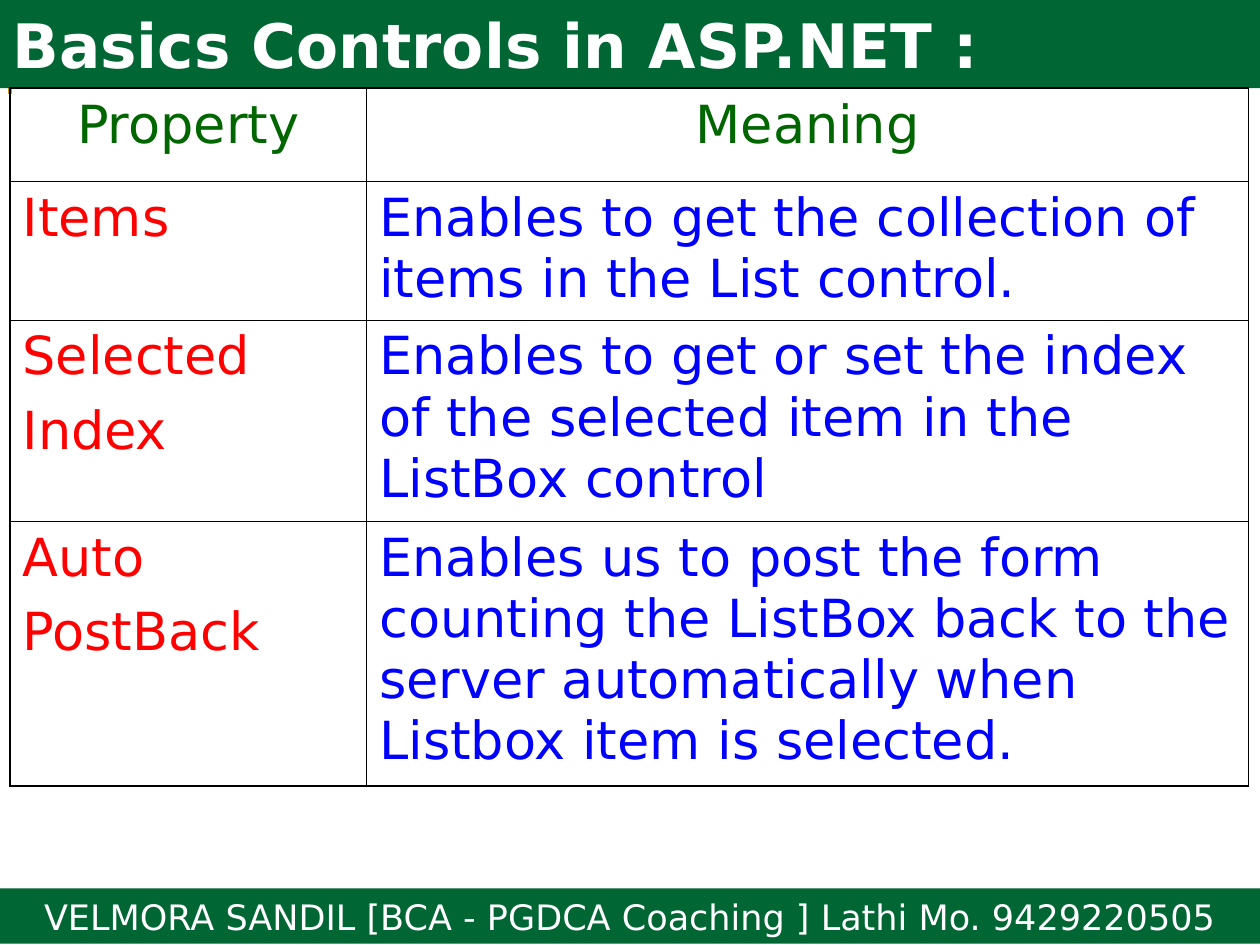
import pptx
import pptx.util
import pptx.dml.color
import pptx.enum.shapes
import pptx.enum.text
import pptx.oxml
import pptx.oxml.ns

Inches, Pt = pptx.util.Inches, pptx.util.Pt
ALIGN = pptx.enum.text.PP_ALIGN
WIDTH, HEIGHT = Inches(10), Inches(7.5)
FONT = "DejaVu Sans"
GREEN, WHITE, BLACK, GOLD = "006633", "FFFFFF", "000000", "CC9900"
HEADING, PROPERTY, MEANING = "006600", "FF0000", "0000FF"
COLUMNS = [2.83, 7]
ROW_HEIGHTS = [0.74, 1.1, 1.6, 2.1]
ROWS = [
    ("Property", "Meaning"),
    ("Items", "Enables to get the collection of items in the List control."),
    ("Selected\nIndex",
     "Enables to get or set the index of the selected item in the ListBox control"),
    ("Auto\nPostBack",
     "Enables us to post the form counting the ListBox back to the server "
     "automatically when Listbox item is selected."),
]


def color(value):
    return pptx.dml.color.RGBColor.from_string(value)


def write(frame, text, size, tint, align=ALIGN.LEFT, bold=False, gap=0):
    frame.word_wrap = True
    frame.text = text
    for index, para in enumerate(frame.paragraphs):
        para.alignment = align
        if index:
            para.space_before = Pt(gap)
        for span in para.runs:
            span.font.name = FONT
            span.font.size = Pt(size)
            span.font.bold = bold
            span.font.color.rgb = color(tint)


def add_band(page, box, text, size, align, bold=False):
    """Full-width green bar with one line of white text."""
    band = page.shapes.add_shape(pptx.enum.shapes.MSO_SHAPE.RECTANGLE, *box)
    band.shadow.inherit = False
    band.fill.solid()
    band.fill.fore_color.rgb = color(GREEN)
    band.line.fill.background()
    band.text_frame.vertical_anchor = pptx.enum.text.MSO_ANCHOR.MIDDLE
    write(band.text_frame, text, size, WHITE, align, bold)


def add_corner_line(page, box):
    """Open line along the left and top edges of the box."""
    left, top, width, height = box
    builder = page.shapes.build_freeform(left, top + height)
    builder.add_line_segments([(left, top), (left + width, top)], close=False)
    corner = builder.convert_to_shape()
    corner.shadow.inherit = False
    corner.fill.background()
    corner.line.color.rgb = color(GOLD)
    corner.line.width = Pt(2.25)


def set_borders(cell, widths):
    """Black borders, widths in points by side; they precede the fill."""
    properties = cell._tc.get_or_add_tcPr()
    for index, (side, width) in enumerate(widths.items()):
        properties.insert(index, pptx.oxml.parse_xml(
            f'<a:ln{side} {pptx.oxml.ns.nsdecls("a")} w="{Pt(width)}">'
            f'<a:solidFill><a:srgbClr val="{BLACK}"/></a:solidFill></a:ln{side}>'))


def add_property_table(page, box):
    table = page.shapes.add_table(len(ROWS), len(COLUMNS), *box).table
    for column, share in zip(table.columns, COLUMNS):
        column.width = int(box[2] * share / sum(COLUMNS))
    for row, share in zip(table.rows, ROW_HEIGHTS):
        row.height = int(box[3] * share / sum(ROW_HEIGHTS))

    outer, inner = 1.08, 0.45
    last_row, last_column = len(ROWS) - 1, len(COLUMNS) - 1
    for r, texts in enumerate(ROWS):
        for c, text in enumerate(texts):
            cell = table.cell(r, c)
            cell.fill.background()
            tint = HEADING if r == 0 else (PROPERTY, MEANING)[c]
            align = ALIGN.CENTER if r == 0 else ALIGN.LEFT
            write(cell.text_frame, text, 30, tint, align, gap=7.5)
            set_borders(cell, {
                "L": outer if c == 0 else inner,
                "R": outer if c == last_column else inner,
                "T": outer if r == 0 else inner,
                "B": outer if r == last_row else inner,
            })


def build_slide(deck):
    page = deck.slides.add_slide(deck.slide_layouts[6])
    title_height, margin = Inches(0.7), Inches(0.08)

    # Footer
    add_band(page, (0, int(HEIGHT * 0.94), WIDTH, Inches(0.44)),
             "VELMORA SANDIL [BCA - PGDCA Coaching ] Lathi Mo. 9429220505",
             20, ALIGN.CENTER)
    # Title with the corner line behind it
    add_corner_line(page, (margin, margin, Inches(9.75), Inches(0.67)))
    add_band(page, (0, 0, WIDTH, title_height),
             "Basics Controls in ASP.NET :", 35, ALIGN.LEFT, bold=True)
    # Property table
    add_property_table(page, (margin, title_height, Inches(sum(COLUMNS)),
                              Inches(sum(ROW_HEIGHTS))))


def main():
    deck = pptx.Presentation()
    deck.slide_width, deck.slide_height = WIDTH, HEIGHT
    build_slide(deck)
    deck.save("out.pptx")


if __name__ == "__main__":
    main()
